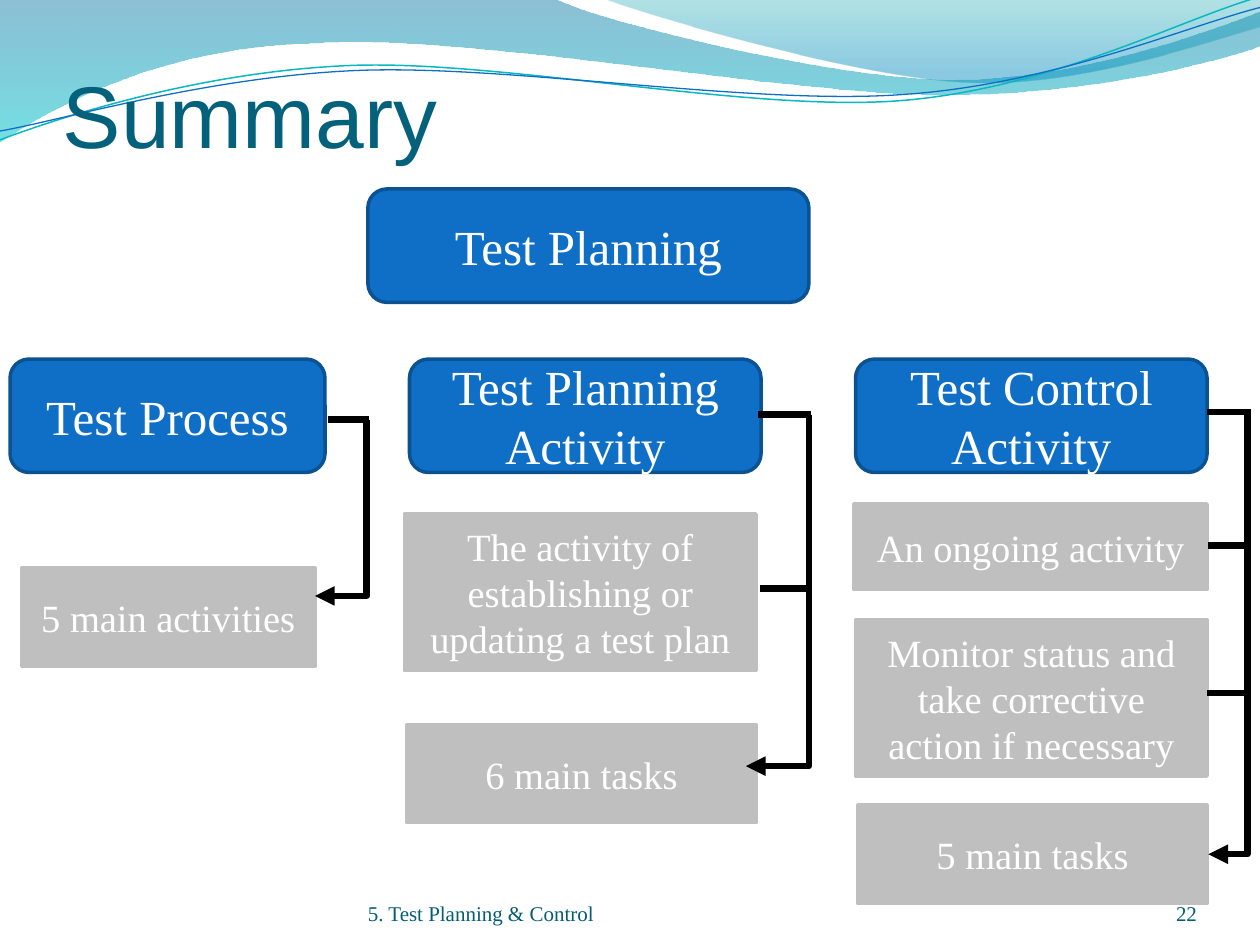
import math

import pptx
import pptx.util
import pptx.dml.color
import pptx.enum.shapes
import pptx.enum.text
import pptx.oxml
import pptx.oxml.ns

Inches = pptx.util.Inches
Pt = pptx.util.Pt
qn = pptx.oxml.ns.qn
SHAPE = pptx.enum.shapes.MSO_SHAPE
CONNECTOR = pptx.enum.shapes.MSO_CONNECTOR
ANCHOR = pptx.enum.text.MSO_ANCHOR
ALIGN = pptx.enum.text.PP_ALIGN

COLORS = {
    "title": "04617B", "footer": "045D75", "blue": "0F6FC6", "blue_edge": "0B5292",
    "gray": "BFBFBF", "white": "FFFFFF", "black": "000000", "teal": "0AB8BF",
    "deep": "0074A1", "aqua": "00C6CF", "sea": "00A1A9", "sky": "008BBF",
}
SERIF = "Times New Roman"
HEADING = {"kind": SHAPE.ROUNDED_RECTANGLE, "fill": "blue", "edge": "blue_edge", "size": 28}
DETAIL = {"kind": SHAPE.RECTANGLE, "fill": "gray", "edge": "gray", "size": 22}


def rgb(name):
    return pptx.dml.color.RGBColor.from_string(COLORS[name])


def element(tag, attributes=""):
    return pptx.oxml.parse_xml(f'<a:{tag} {pptx.oxml.ns.nsdecls("a")} {attributes}/>')


def apply(target, values):
    for key, value in values.items():
        setattr(target, key, value)


def write(shape, text, size, color, font=SERIF, align=ALIGN.LEFT, **frame_values):
    frame = shape.text_frame
    apply(frame, {"word_wrap": True, **frame_values})
    paragraph = frame.paragraphs[0]
    paragraph.alignment = align
    run = paragraph.add_run()
    run.text = text
    apply(run.font, {"name": font, "size": Pt(size)})
    run.font.color.rgb = rgb(color)


def label(slide, box, text, size, color, **values):
    caption = slide.shapes.add_textbox(*map(Inches, box))
    margins = {"margin_left": 0, "margin_right": 0, "margin_top": 0, "margin_bottom": 0}
    write(caption, text, size, color,
          **{**margins, "vertical_anchor": ANCHOR.BOTTOM, **values})


def block(slide, box, text, style):
    shape = slide.shapes.add_shape(style["kind"], *map(Inches, box))
    shape.shadow.inherit = False
    shape.fill.solid()
    shape.fill.fore_color.rgb = rgb(style["fill"])
    shape.line.color.rgb = rgb(style["edge"])
    shape.line.width = Pt(2)
    write(shape, text, style["size"], "white", align=ALIGN.CENTER,
          vertical_anchor=ANCHOR.MIDDLE)


def connect(slide, start, end):
    link = slide.shapes.add_connector(CONNECTOR.STRAIGHT, *map(Inches, start + end))
    link.line.color.rgb = rgb("black")
    link.line.width = Pt(3.75)
    link._element.spPr.append(element("effectLst"))
    return link


def down_left_arrow(slide, start, end):
    drop, run = end[1] - start[1], start[0] - end[0]
    left = (start[0] + end[0] - drop) / 2
    top = (start[1] + end[1] - run) / 2
    link = connect(slide, (left, top), (left + drop, top + run))
    properties = link._element.spPr
    properties.find(qn("a:prstGeom")).set("prst", "bentConnector2")
    properties.find(qn("a:xfrm")).set("rot", "5400000")
    link.line._get_or_add_ln().append(element("tailEnd", 'type="triangle"'))


def turn(point, center, degrees):
    angle = math.radians(degrees)
    x, y = point[0] - center[0], point[1] - center[1]
    return (center[0] + x * math.cos(angle) - y * math.sin(angle),
            center[1] + x * math.sin(angle) + y * math.cos(angle))


def outline(slide, segments, closed, center=(0, 0), rotation=0):
    points = [turn(point, center, -rotation)
              for segment in segments for point in zip(segment[::2], segment[1::2])]
    placed = [(Inches(x), Inches(y)) for x, y in points]
    builder = slide.shapes.build_freeform(*placed[0], scale=1.0)
    builder.add_line_segments(placed[1:], close=closed)
    shape = builder.convert_to_shape()
    shape.shadow.inherit = False
    shape.rotation = rotation
    strokes = iter(list(shape._element.spPr.iter(qn("a:lnTo"))))
    for segment in segments[1:]:
        first = next(strokes)
        if len(segment) == 6:
            curve = element("cubicBezTo")
            first.addprevious(curve)
            for stroke in (first, next(strokes), next(strokes)):
                curve.append(stroke[0])
                stroke.getparent().remove(stroke)
    return shape


def wave_header(slide, box):
    left, top = box
    bands = [
        ([(0, 0), (4.4, -0.01), (4.76, 0.17, 6.64, 0.63, 7.58, 0.63),
          (8.53, 0.63, 9.58, 0.26, 10, 0.09), (10.01, 0.36),
          (9.83, 0.44, 8.7, 0.76, 7.46, 0.75), (6.22, 0.75, 3.82, 0.28, 2.57, 0.34),
          (1.29, 0.36, 0.46, 0.83, -0.01, 1.13)],
         [(0, "deep", 45), (1, "aqua", 55)]),
        ([(4.79, -0.01), (5.09, 0.11, 6.82, 0.62, 7.69, 0.65),
          (8.56, 0.69, 9.61, 0.32, 10, 0.21), (10, 0)],
         [(0, "sea", 30), (0.8, "sky", 45)]),
    ]
    ripples = [
        ([(0, 1.11), (0.48, 0.93, 1.58, 0.57, 2.77, 0.52),
          (3.95, 0.47, 5.93, 0.89, 7.13, 0.8), (8.33, 0.71, 9.38, 0.15, 9.98, -0.02)],
         (4.99, 0.57), "teal", 0.85),
        ([(0, 1.04), (0.47, 0.96, 1.64, 0.61, 2.83, 0.56),
          (4.03, 0.51, 5.97, 0.84, 7.17, 0.75), (8.36, 0.67, 9.41, 0.21, 10, 0.06)],
         (5, 0.59), "blue", 0.75),
    ]

    def shift(segments):
        return [tuple(value + (top if index % 2 else left)
                      for index, value in enumerate(segment)) for segment in segments]

    for segments, stops in bands:
        band = outline(slide, shift(segments), True)
        band.line.fill.background()
        band.fill.gradient()
        band.fill.gradient_angle = 270
        for stop, (position, color, opacity) in zip(band.fill.gradient_stops, stops):
            stop.position = position
            stop.color.rgb = rgb(color)
            stop._gs.find(qn("a:srgbClr")).append(
                element("alpha", f'val="{opacity * 1000}"'))
    for segments, center, color, width in ripples:
        ripple = outline(slide, shift(segments), False,
                         (left + center[0], top + center[1]), 357.3)
        ripple.fill.background()
        ripple.line.color.rgb = rgb(color)
        ripple.line.width = Pt(width)


def topic_column(slide, box, heading, details, trunk, branches):
    left, top, width, height = box
    block(slide, box, heading, HEADING)
    for (x, y, w, h), text in details:
        block(slide, (left + x, top + y, w, h), text, DETAIL)
    x, start, tip, end = trunk
    down_left_arrow(slide, (left + x, top + start), (left + tip, top + end))
    for begin, y in branches:
        connect(slide, (left + begin, top + y), (left + x + 0.02, top + y))


def footer(slide, box, text, number):
    left, top, width, height = box
    label(slide, (left, top, 3.67, height), text, 12, "footer")
    label(slide, (left + width - 0.83, top, 0.83, height), number, 12, "footer",
          align=ALIGN.RIGHT)


presentation = pptx.Presentation()
presentation.slide_width = Inches(10)
presentation.slide_height = Inches(7.5)
summary = presentation.slides.add_slide(presentation.slide_layouts[6])

wave_header(summary, (0, 0))
label(summary, (0.5, 0.42, 9, 0.9), "Summary", 50, "title", font="Arial",
      margin_top=Inches(0.05))
footer(summary, (2.92, 6.95, 6.58, 0.4), "5. Test Planning & Control", "22")
block(summary, (2.92, 1.5, 3.5, 0.9), "Test Planning", HEADING)

topics = [
    ((0.08, 2.85, 2.5, 0.9), "Test Process",
     [((0.09, 1.66, 2.33, 0.78), "5 main activities")],
     (2.83, 0.48, 2.42, 1.88), [(2.52, 0.48)]),
    ((3.25, 2.85, 2.79, 0.9), "Test Planning Activity",
     [((-0.04, 1.23, 2.79, 1.24), "The activity of establishing or updating a test plan"),
      ((-0.02, 2.9, 2.77, 0.78), "6 main tasks")],
     (3.17, 0.44, 2.67, 3.23), [(2.77, 0.44), (2.78, 1.82)]),
    ((6.79, 2.85, 2.79, 0.9), "Test Control Activity",
     [((-0.01, 1.15, 2.8, 0.68), "An ongoing activity"),
      ((0, 2.07, 2.79, 1.24), "Monitor status and take corrective action if necessary"),
      ((0.02, 3.54, 2.77, 0.78), "5 main tasks")],
     (3.11, 0.4, 2.8, 3.93), [(2.79, 0.42), (2.8, 1.48), (2.79, 2.65)]),
]
for topic in topics:
    topic_column(summary, *topic)

presentation.save("out.pptx")
